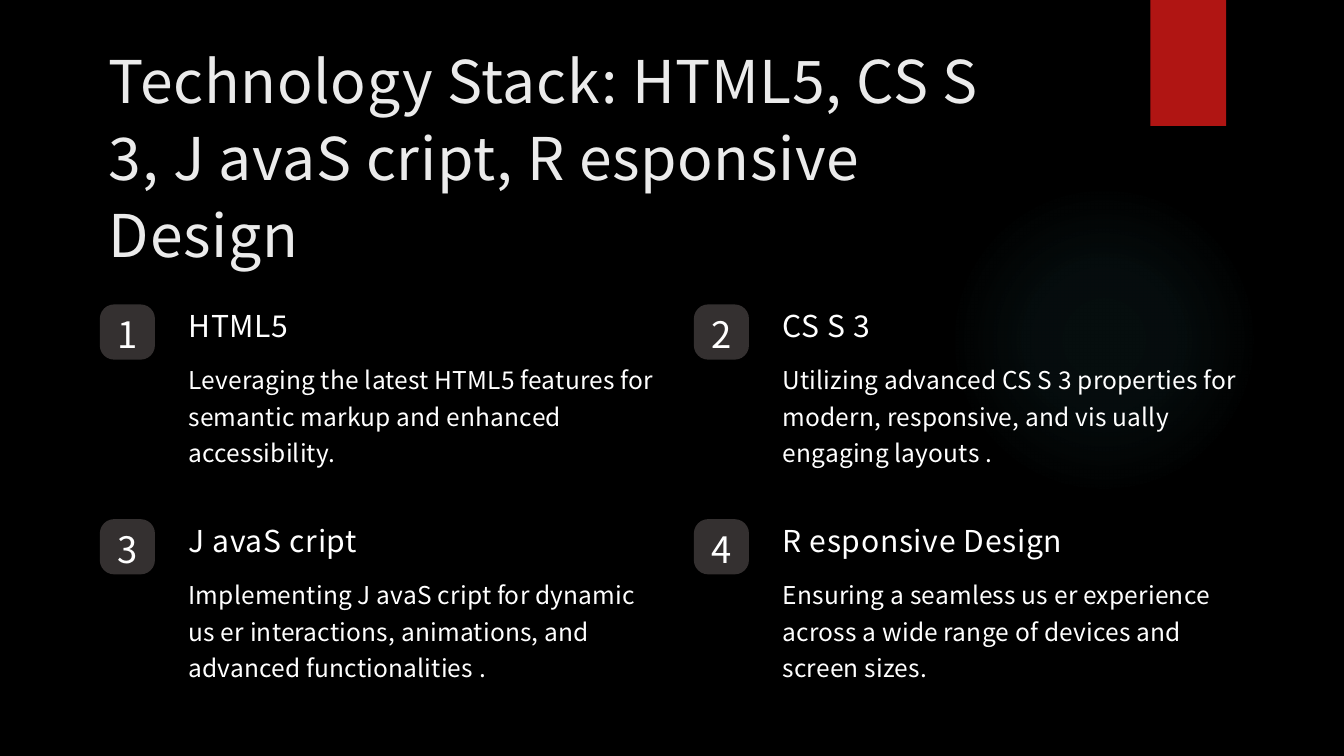
"""Build the technology stack slide: a title and a two by two grid of numbered topics."""
import lxml.etree
import pptx
import pptx.dml.color
import pptx.enum.shapes
import pptx.enum.text
import pptx.oxml.ns
import pptx.util

RGBColor = pptx.dml.color.RGBColor
BLACK = RGBColor(0x00, 0x00, 0x00)
WHITE = RGBColor(0xFF, 0xFF, 0xFF)
PALE = RGBColor(0xEB, 0xEB, 0xEB)
RED = RGBColor(0xB0, 0x15, 0x13)
GREY = RGBColor(0x34, 0x30, 0x30)
TEAL = RGBColor(0x50, 0xB9, 0xC1)

MSO_SHAPE = pptx.enum.shapes.MSO_SHAPE
MSO_ANCHOR = pptx.enum.text.MSO_ANCHOR
PP_ALIGN = pptx.enum.text.PP_ALIGN
Pt = pptx.util.Pt

TITLE = "Technology Stack: HTML5, CS S 3, J avaS cript, R esponsive Design"
TOPICS = [
    ("HTML5", "Leveraging the latest HTML5 features for semantic markup "
              "and enhanced accessibility."),
    ("CS S 3", "Utilizing advanced CS S 3 properties for modern, responsive, "
               "and vis ually engaging layouts ."),
    ("J avaS cript", "Implementing J avaS cript for dynamic us er interactions, "
                     "animations, and advanced functionalities ."),
    ("R esponsive Design", "Ensuring a seamless us er experience across a wide "
                           "range of devices and screen sizes."),
]
COLUMNS = 2
LEFT, TOP = 7.43, 40.27
COLUMN_STEP, ROW_STEP = 44.2, 28.4


class Deck:
    """Holds the style and the current slide; lengths are percent of the slide."""

    font = "Noto Sans CJK KR"

    def __init__(self):
        self.prs = pptx.Presentation()
        self.prs.slide_width = pptx.util.Inches(13.33)
        self.prs.slide_height = pptx.util.Inches(7.5)
        self.s = self.prs.slides.add_slide(self.prs.slide_layouts[5])
        self.s.background.fill.solid()
        self.s.background.fill.fore_color.rgb = BLACK

    def box(self, x, y, w, h):
        width, height = self.prs.slide_width, self.prs.slide_height
        return (int(x * width / 100), int(y * height / 100),
                int(w * width / 100), int(h * height / 100))

    def frame(self, sp, anchor=MSO_ANCHOR.TOP, top=0):
        tf = sp.text_frame
        tf.margin_left = tf.margin_right = tf.margin_bottom = 0
        tf.margin_top = Pt(top)
        tf.word_wrap = True
        tf.auto_size = pptx.enum.text.MSO_AUTO_SIZE.NONE
        tf.vertical_anchor = anchor
        return tf

    def fill_text(self, p, text, size, color, spacing, align=PP_ALIGN.LEFT):
        p.text = text
        p.alignment = align
        for r in p.runs:
            r.font.name = self.font
            r.font.size = Pt(size)
            r.font.color.rgb = color
            r._r.get_or_add_rPr().set("spc", str(spacing))

    def title(self, text, *place):
        sp = self.s.shapes.title
        sp.left, sp.top, sp.width, sp.height = self.box(*place)
        p = self.frame(sp).paragraphs[0]
        self.fill_text(p, text, 42, PALE, 50)
        p.line_spacing = Pt(55)

    def shape(self, kind, color, *place):
        sp = self.s.shapes.add_shape(kind, *self.box(*place))
        sp.shadow.inherit = False
        sp.fill.solid()
        sp.fill.fore_color.rgb = color
        sp.line.fill.background()
        return sp

    def glow(self, color, stops, *place):
        sp = self.shape(MSO_SHAPE.OVAL, color, *place)
        sp.fill.gradient()
        qn = pptx.oxml.ns.qn
        grad = sp._element.spPr.find(qn("a:gradFill"))
        for child in list(grad):
            grad.remove(child)
        stop_list = lxml.etree.SubElement(grad, qn("a:gsLst"))
        for pos, alpha in stops:
            gs = lxml.etree.SubElement(stop_list, qn("a:gs"), pos=str(pos * 1000))
            clr = lxml.etree.SubElement(gs, qn("a:srgbClr"), val=str(color))
            lxml.etree.SubElement(clr, qn("a:alpha"), val=str(alpha * 1000))
        route = lxml.etree.SubElement(grad, qn("a:path"), path="circle")
        lxml.etree.SubElement(route, qn("a:fillToRect"),
                              l="50000", t="50000", r="50000", b="50000")

    def badge(self, number, x, y):
        sp = self.shape(MSO_SHAPE.ROUNDED_RECTANGLE, GREY, x, y, 4.1, 7.3)
        sp.adjustments[0] = 0.26
        p = self.frame(sp, MSO_ANCHOR.MIDDLE, 3).paragraphs[0]
        self.fill_text(p, str(number), 26, WHITE, 10, PP_ALIGN.CENTER)

    def topic(self, heading, body, x, y):
        sp = self.s.shapes.add_textbox(*self.box(x, y, 34.9, 21.6))
        tf = self.frame(sp, top=1.4)
        self.fill_text(tf.paragraphs[0], heading, 21.5, WHITE, 50)
        tf.paragraphs[0].space_before = Pt(1.4)
        p = tf.add_paragraph()
        self.fill_text(p, body, 17.5, WHITE, 13)
        p.space_before = Pt(10.3)
        p.line_spacing = 1.24


def main():
    deck = Deck()
    deck.glow(TEAL, [(0, 7), (36, 6), (69, 0), (100, 0)], 70.59, 24.4, 23.1, 41.07)
    deck.shape(MSO_SHAPE.RECTANGLE, RED, 85.6, 0, 5.63, 16.67)
    deck.title(TITLE, 8.1, 5.07, 68.2, 30.13)
    for i, (heading, body) in enumerate(TOPICS):
        row, col = divmod(i, COLUMNS)
        x, y = LEFT + col * COLUMN_STEP, TOP + row * ROW_STEP
        deck.badge(i + 1, x, y)
        deck.topic(heading, body, x + 6.6, y + 0.2)
    deck.prs.save("out.pptx")


if __name__ == "__main__":
    main()
